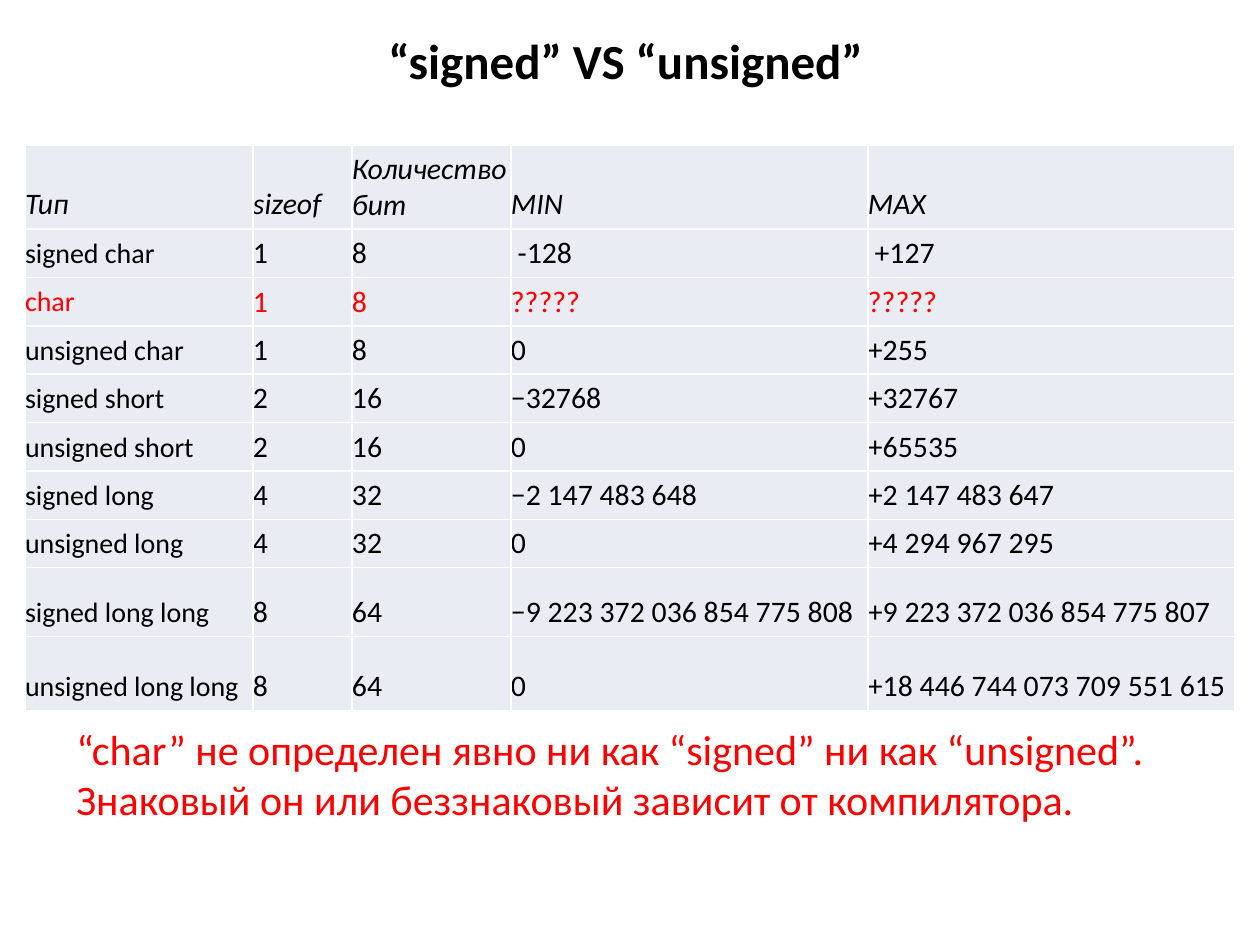
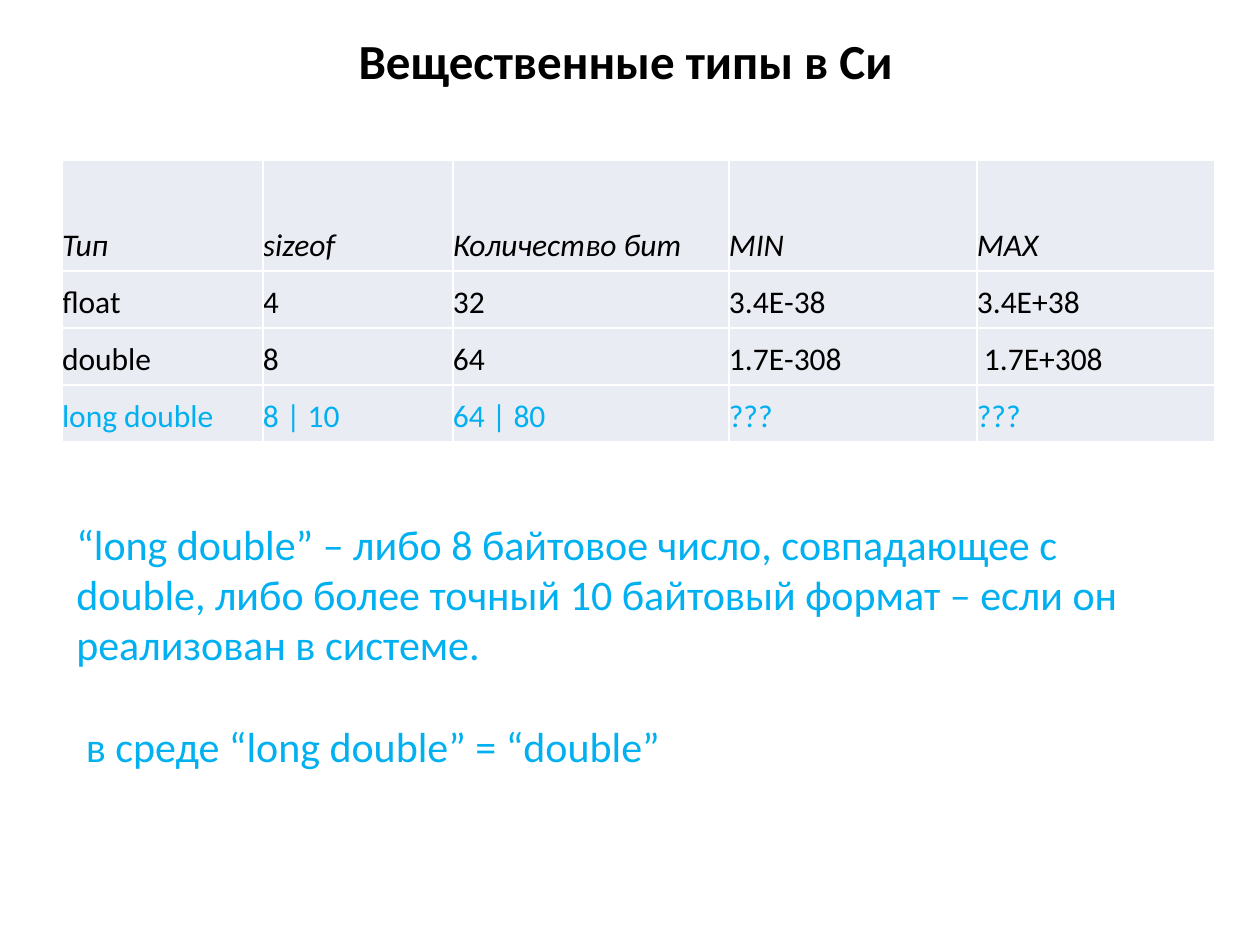
from lxml.etree import SubElement
from pptx import Presentation
from pptx.dml.color import RGBColor
from pptx.enum.text import MSO_ANCHOR, MSO_AUTO_SIZE, PP_ALIGN
from pptx.oxml.ns import qn
from pptx.util import Emu, Pt

PX = 914400 / 126
FONT = "Calibri"
COLORS = {
    "text": "000000",
    "cell": "E9ECF3",
    "border": "FFFFFF",
    "red": "FF0000",
    "blue": "00B0F0",
}
TITLE_BOX = (25, 16, 1201, 87)
BORDER_WIDTH = Pt(0.96)
NOTE_SIZE = 24
NOTE_GAP = 29
HEADER = ("Тип", "sizeof", "Количество бит", "MIN", "MAX")

SLIDES = [
    {
        "title": "“signed” VS “unsigned”",
        "accent": "red",
        "accent_type": "char",
        "table_at": (25, 145),
        "cols": (228, 99, 159, 357, 367),
        "rows": (77, 40, 40, 40, 40, 40, 38, 38, 69, 74),
        "type_size": 16,
        "size": 17,
        "types": [
            ("signed char", "1", "8", " -128", " +127"),
            ("char", "1", "8", "?????", "?????"),
            ("unsigned char", "1", "8", "0", "+255"),
            ("signed short", "2", "16", "−32768", "+32767"),
            ("unsigned short", "2", "16", "0", "+65535"),
            ("signed long", "4", "32", "−2 147 483 648", "+2 147 483 647"),
            ("unsigned long", "4", "32", "0", "+4 294 967 295"),
            ("signed long long", "8", "64", "−9 223 372 036 854 775 808",
             "+9 223 372 036 854 775 807"),
            ("unsigned long long", "8", "64", "0", "+18 446 744 073 709 551 615"),
        ],
        "note_box": (64, 717, 1160, 113),
        "note": [
            "“char” не определен явно ни как “signed” ни как “unsigned”. "
            "Знаковый он или беззнаковый зависит от компилятора.",
        ],
    },
    {
        "title": "Вещественные типы в Си",
        "accent": "blue",
        "accent_type": "long double",
        "table_at": (62, 160),
        "cols": (201, 190, 276, 248, 238),
        "rows": (111, 57, 57, 57),
        "type_size": 18,
        "size": 18,
        "types": [
            ("float", "4", "32", "3.4Е-38", "3.4Е+38"),
            ("double", "8", "64", "1.7Е-308", " 1.7Е+308"),
            ("long double", "8 | 10", "64 | 80", "???", "???"),
        ],
        "note_box": (64, 512, 1071, 265),
        "note": [
            "“long double” – либо 8 байтовое число, совпадающее с double, "
            "либо более точный 10 байтовый формат – если он реализован в системе.",
            " в среде “long double” = “double”",
        ],
    },
]


def px(*lengths):
    return [Emu(round(n * PX)) for n in lengths]


def write(p, text, size, color="text", bold=False, italic=False, align=PP_ALIGN.LEFT):
    p.alignment = align
    r = p.add_run()
    r.text = text
    r.font.name = FONT
    r.font.size = Pt(size)
    r.font.bold = bold
    r.font.italic = italic
    r.font.color.rgb = RGBColor.from_string(COLORS[color])


def set_borders(cell):
    tc_pr = cell._tc.get_or_add_tcPr()
    for i, side in enumerate(("lnL", "lnR", "lnT", "lnB")):
        ln = SubElement(tc_pr, qn(f"a:{side}"), w=str(BORDER_WIDTH))
        fill = SubElement(ln, qn("a:solidFill"))
        SubElement(fill, qn("a:srgbClr"), val=COLORS["border"])
        tc_pr.insert(i, ln)  # borders must precede the cell fill


def add_title(slide, text):
    sp = slide.shapes.title
    sp.left, sp.top, sp.width, sp.height = px(*TITLE_BOX)
    sp.text_frame.vertical_anchor = MSO_ANCHOR.MIDDLE
    write(sp.text_frame.paragraphs[0], text, 28, bold=True, align=PP_ALIGN.CENTER)


def add_note(slide, box, paragraphs, color):
    tf = slide.shapes.add_textbox(*px(*box)).text_frame
    tf.word_wrap = True
    tf.auto_size = MSO_AUTO_SIZE.SHAPE_TO_FIT_TEXT
    for i, text in enumerate(paragraphs):
        p = tf.add_paragraph() if i else tf.paragraphs[0]
        if i:
            p.space_before = Pt(NOTE_GAP)
        write(p, text, NOTE_SIZE, color)


def add_type_table(slide, data):
    rows, cols = data["rows"], data["cols"]
    box = px(*data["table_at"], sum(cols), sum(rows))
    table = slide.shapes.add_table(len(rows), len(cols), *box).table
    table.first_row = table.horz_banding = False
    for column, width in zip(table.columns, px(*cols)):
        column.width = width
    for row, height in zip(table.rows, px(*rows)):
        row.height = height
    for i, values in enumerate([HEADER, *data["types"]]):
        color = data["accent"] if values[0] == data["accent_type"] else "text"
        for j, text in enumerate(values):
            cell = table.cell(i, j)
            cell.margin_left = cell.margin_right = 0
            cell.vertical_anchor = MSO_ANCHOR.BOTTOM
            cell.fill.solid()
            cell.fill.fore_color.rgb = RGBColor.from_string(COLORS["cell"])
            set_borders(cell)
            size = data["type_size"] if i and j == 0 else data["size"]
            write(cell.text_frame.paragraphs[0], text, size, color, italic=i == 0)


def main():
    prs = Presentation()
    prs.slide_width, prs.slide_height = px(1260, 945)
    for data in SLIDES:
        slide = prs.slides.add_slide(prs.slide_layouts[5])
        add_title(slide, data["title"])
        add_note(slide, data["note_box"], data["note"], data["accent"])
        add_type_table(slide, data)
    prs.save("out.pptx")


if __name__ == "__main__":
    main()
